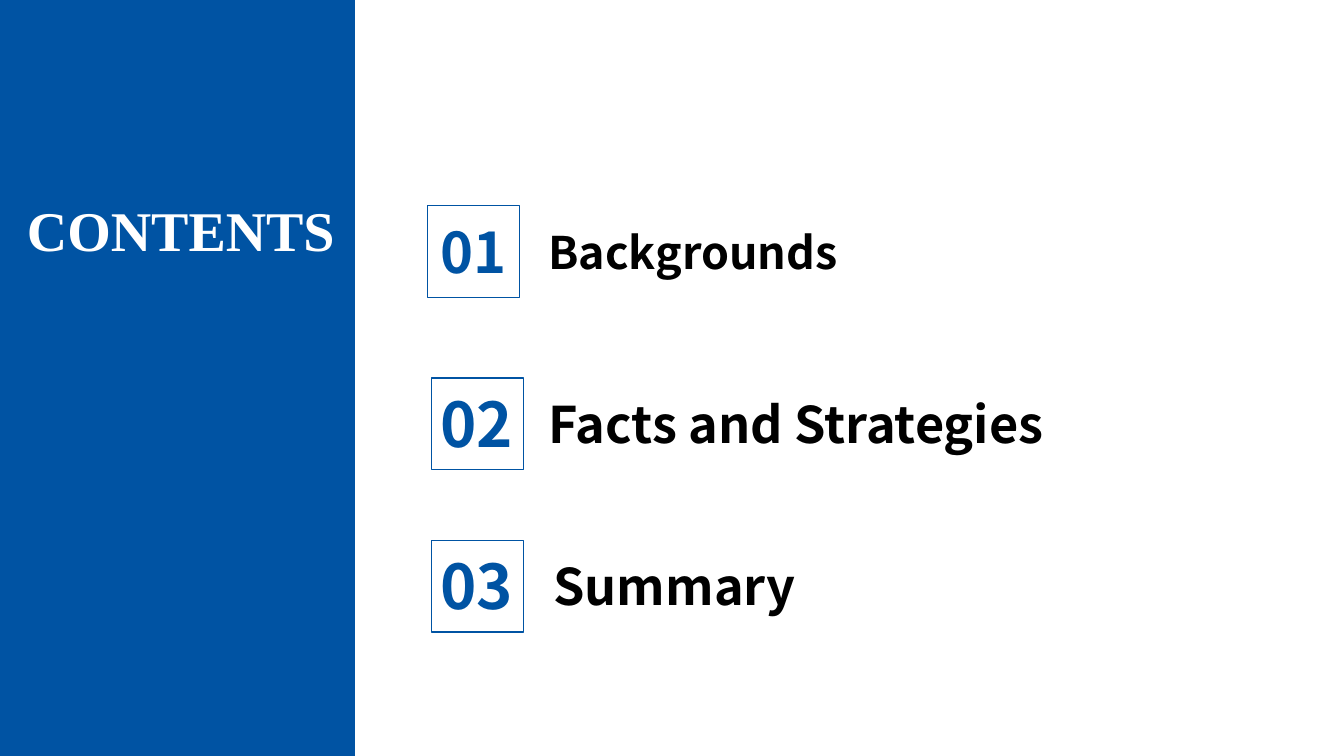
from dataclasses import dataclass

from pptx import Presentation
from pptx.dml.color import RGBColor
from pptx.enum.shapes import MSO_SHAPE
from pptx.enum.text import MSO_ANCHOR, MSO_AUTO_SIZE, PP_ALIGN
from pptx.util import Emu, Pt

PX = 9144  # one px is a hundredth of an inch


@dataclass(frozen=True)
class Theme:
    blue: RGBColor = RGBColor(0x00, 0x53, 0xA3)
    white: RGBColor = RGBColor(0xFF, 0xFF, 0xFF)
    black: RGBColor = RGBColor(0x00, 0x00, 0x00)
    title_font: str = "Times New Roman"
    body_font: str = "Noto Sans CJK SC"
    title_size: int = 40
    first_sizes: tuple = (40, 32)  # number, heading
    item_sizes: tuple = (44, 36)
    line_width: int = 1


def px(*lengths):
    return [Emu(length * PX) for length in lengths]


def write(shape, text, *, font, size, color, align=PP_ALIGN.LEFT):
    """Fill a shape with one bold, top-anchored paragraph."""
    frame = shape.text_frame
    frame.word_wrap = True
    frame.auto_size = MSO_AUTO_SIZE.SHAPE_TO_FIT_TEXT
    frame.vertical_anchor = MSO_ANCHOR.TOP
    paragraph = frame.paragraphs[0]
    paragraph.alignment = align
    run = paragraph.add_run()
    run.text = text
    run.font.name = font
    run.font.size = Pt(size)
    run.font.bold = True
    run.font.color.rgb = color


class ContentsSlide:
    def __init__(self, deck, theme):
        self.theme = theme
        self.slide = deck.slides.add_slide(deck.slide_layouts[5])

    def rectangle(self, shapes, box, fill=None, line=None):
        rectangle = shapes.add_shape(MSO_SHAPE.RECTANGLE, *px(*box))
        rectangle.shadow.inherit = False
        if fill is None:
            rectangle.fill.background()
        else:
            rectangle.fill.solid()
            rectangle.fill.fore_color.rgb = fill
        if line is None:
            rectangle.line.fill.background()
        else:
            rectangle.line.color.rgb = line
            rectangle.line.width = Pt(self.theme.line_width)
        return rectangle

    def title(self, text, box):
        title = self.slide.shapes.title
        title.left, title.top, title.width, title.height = px(*box)
        write(title, text, font=self.theme.title_font,
              size=self.theme.title_size, color=self.theme.white,
              align=PP_ALIGN.RIGHT)

    def side_panel(self, box):
        panel = self.rectangle(self.slide.shapes, box, fill=self.theme.blue)
        # The panel lies behind the title
        self.slide.shapes.title._element.addprevious(panel._element)

    def item(self, number, heading, sizes, heading_box, number_box, frame_box):
        shapes = self.slide.shapes.add_group_shape().shapes
        theme = self.theme
        number_size, heading_size = sizes
        write(shapes.add_textbox(*px(*heading_box)), heading,
              font=theme.body_font, size=heading_size, color=theme.black)
        write(shapes.add_textbox(*px(*number_box)), number,
              font=theme.body_font, size=number_size, color=theme.blue,
              align=PP_ALIGN.CENTER)
        self.rectangle(shapes, frame_box, line=theme.blue)


def main():
    deck = Presentation()
    deck.slide_width, deck.slide_height = px(1333, 750)
    theme = Theme()
    contents = ContentsSlide(deck, theme)

    # Side panel and title
    contents.side_panel((0, 0, 352, 750))
    contents.title("CONTENTS", (-11, 189, 353, 77))

    # First item, set a little smaller
    contents.item("01", "Backgrounds", theme.first_sizes,
                  (534, 218, 348, 118), (424, 211, 91, 77), (424, 204, 91, 91))

    # Other items, laid out from the top of their number frame
    for number, heading, top, left, width in (
        ("02", "Facts and Strategies", 375, 534, 588),
        ("03", "Summary", 536, 539, 262),
    ):
        contents.item(number, heading, theme.item_sizes,
                      (left, top + 10, width, 71), (424, top + 3, 98, 84),
                      (428, top, 91, 91))

    deck.save("out.pptx")


if __name__ == "__main__":
    main()
